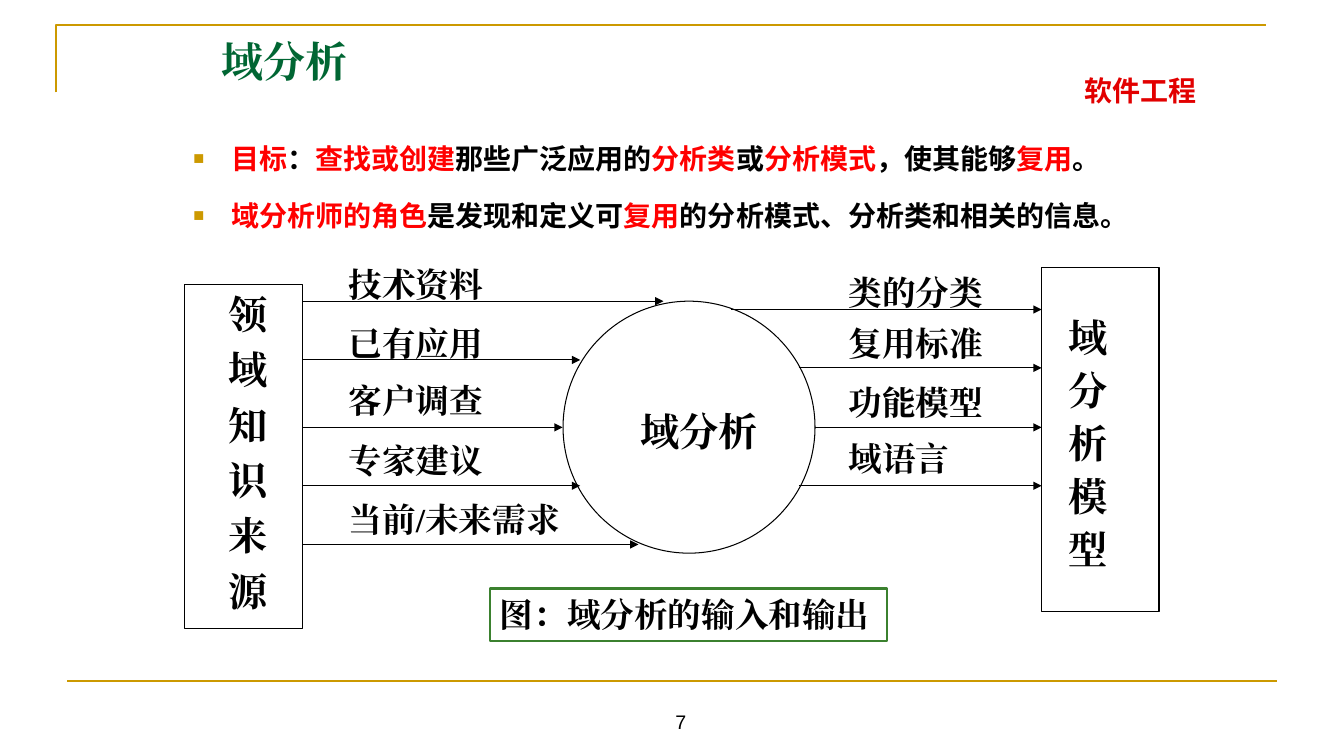
import pptx
import pptx.util
import pptx.dml.color
import pptx.enum.dml
import pptx.enum.shapes
import pptx.enum.text
import pptx.oxml.ns
import lxml.etree

Cm, Pt = pptx.util.Cm, pptx.util.Pt
RGBColor = pptx.dml.color.RGBColor
SHAPE = pptx.enum.shapes.MSO_SHAPE
ALIGN = pptx.enum.text.PP_ALIGN
ANCHOR = pptx.enum.text.MSO_ANCHOR
qn = pptx.oxml.ns.qn

BLACK = RGBColor(0x00, 0x00, 0x00)
RED = RGBColor(0xFF, 0x00, 0x00)
COURSE_RED = RGBColor(0xE2, 0x00, 0x00)
TITLE_GREEN = RGBColor(0x00, 0x66, 0x33)
CAPTION_GREEN = RGBColor(0x3B, 0x81, 0x2F)
GOLD = RGBColor(0xCC, 0x99, 0x00)

SERIF, SANS, CJK = "Times New Roman", "Arial", "Noto Sans CJK JP"

# Goals: runs of text, the red ones marked True
GOALS = [
    [("目标", True), ("：", False), ("查找或创建", True), ("那些广泛应用的", False),
     ("分析类", True), ("或", False), ("分析模式", True), ("，使其能够", False),
     ("复用", True), ("。", False)],
    [("域分析师的角色", True), ("是发现和定义可", False), ("复用", True),
     ("的分析模式、分析类和相关的信息。", False)],
]

# Flows: label, label top, arrow height, arrow start and end, within their region
INPUTS = [
    ("技术资料", 0, 1.06, 0, 9.09),
    ("已有应用", 1.47, 2.54, 0, 6.99),
    ("客户调查", 2.92, 4.24, 0, 6.55),
    ("专家建议", 4.44, 5.71, 0, 6.99),
    ("当前/未来需求", 5.92, 7.19, 0, 8.46),
]
OUTPUTS = [
    ("类的分类", 0, 1.07, 0, 7.82),
    ("复用标准", 1.27, 2.54, 1.7, 7.82),
    ("功能模型", 2.77, 4.04, 2.1, 7.82),
    ("域语言", 4.19, 5.51, 1.7, 7.82),
]


def add_run(paragraph, text, size, font=SERIF, color=BLACK, bold=True):
    run = paragraph.add_run()
    run.text = text
    run.font.size = Pt(size)
    run.font.bold = bold
    run.font.color.rgb = color
    run.font.name = font
    east_asian = lxml.etree.SubElement(run.font._element, qn("a:ea"))
    east_asian.set("typeface", font)


def place(placeholder, box):
    placeholder.left, placeholder.top, placeholder.width, placeholder.height = map(Cm, box)
    frame = placeholder.text_frame
    frame.word_wrap = True
    frame.auto_size = pptx.enum.text.MSO_AUTO_SIZE.NONE
    frame.vertical_anchor = ANCHOR.TOP
    return frame


def add_label(slide, box, lines, size, align=ALIGN.LEFT, spacing=None, anchor=ANCHOR.TOP, **look):
    frame = slide.shapes.add_textbox(*map(Cm, box)).text_frame
    frame.word_wrap = True
    frame.vertical_anchor = anchor
    for index, line in enumerate(lines):
        paragraph = frame.paragraphs[0] if index == 0 else frame.add_paragraph()
        paragraph.alignment = align
        if spacing:
            paragraph.line_spacing = spacing
            paragraph.space_before = Pt(11)
        add_run(paragraph, line, size, **look)


def add_outline(slide, kind, box, color=BLACK, weight=0.75):
    outline = slide.shapes.add_shape(kind, *map(Cm, box))
    outline.shadow.inherit = False
    outline.fill.background()
    outline.line.color.rgb = color
    outline.line.width = Pt(weight)
    return outline


def add_line(slide, start, end, color=BLACK, weight=0.75, arrow=False):
    line = slide.shapes.add_connector(
        pptx.enum.shapes.MSO_CONNECTOR.STRAIGHT, *map(Cm, start + end))
    line.line.color.rgb = color
    line.line.width = Pt(weight)
    if arrow:
        lxml.etree.SubElement(line.line._get_or_add_ln(), qn("a:tailEnd"), type="triangle")
    lxml.etree.SubElement(line._element.spPr, qn("a:effectLst"))


def add_page_frame(slide, box):
    left, top, width, height = box
    # Corner rule at the top, straight rule at the bottom
    builder = slide.shapes.build_freeform(Cm(left), Cm(top + 1.7))
    builder.add_line_segments(
        [(Cm(left), Cm(top)), (Cm(left + 30.48), Cm(top))], close=False)
    corner = builder.convert_to_shape()
    corner.shadow.inherit = False
    corner.fill.background()
    corner.line.color.rgb = GOLD
    corner.line.width = Pt(1.5)
    bottom = top + height
    add_line(slide, (left + width - 30.48, bottom), (left + width, bottom), GOLD, 1.5)
    # Course name and page number
    add_label(slide, (left + 21.92, top + 1.09, 10.8, 1.09), ["软件工程"], 20,
              ALIGN.CENTER, font=CJK, color=COURSE_RED)
    add_label(slide, (left + 11.79, bottom + 0.18, 7.9, 1.27), ["7"], 14,
              ALIGN.CENTER, anchor=ANCHOR.BOTTOM, font=SANS, bold=False)


def add_title(slide, box):
    title = place(slide.shapes.title, box).paragraphs[0]
    title.alignment = ALIGN.LEFT
    add_run(title, "域分析", 30, color=TITLE_GREEN)


def add_goals(slide, box):
    frame = place(slide.placeholders[1], box)
    for index, goal in enumerate(GOALS):
        paragraph = frame.paragraphs[0] if index == 0 else frame.add_paragraph()
        paragraph.line_spacing = 1.45
        paragraph.space_before = Pt(6)
        properties = paragraph._p.get_or_add_pPr()
        properties.set("marL", str(Cm(0.95)))
        properties.set("indent", str(-Cm(0.95)))
        bullet_color = lxml.etree.SubElement(properties, qn("a:buClr"))
        lxml.etree.SubElement(bullet_color, qn("a:srgbClr"), val=str(GOLD))
        lxml.etree.SubElement(properties, qn("a:buSzPct"), val="65000")
        lxml.etree.SubElement(properties, qn("a:buFont"), typeface=SANS)
        lxml.etree.SubElement(properties, qn("a:buChar"), char="■")
        for text, is_key in goal:
            add_run(paragraph, text, 20, SANS, RED if is_key else BLACK)


def add_flows(slide, box, flows, label_offset):
    left, top, width, _ = box
    for label, label_top, arrow_y, start, end in flows:
        add_line(slide, (left + start, top + arrow_y), (left + end, top + arrow_y), arrow=True)
        add_label(slide, (left + label_offset, top + label_top, width - label_offset, 1.27),
                  [label], 24)


def add_diagram(slide, box):
    left, top, width, height = box
    post_width, post_height = 2.97, 8.69
    # Knowledge sources on the left
    add_outline(slide, SHAPE.RECTANGLE, (left, top + 0.43, post_width, post_height))
    add_label(slide, (left + 0.23, top + 0.64, 2.74, 8.38), "领域知识来源", 28,
              ALIGN.CENTER, 0.85)
    # Domain model on the right
    model_left = left + width - post_width
    add_outline(slide, SHAPE.RECTANGLE, (model_left, top, post_width, post_height))
    add_label(slide, (model_left + 0.43, top + 1.27, 1.7, 6.73), "域分析模型", 28, spacing=0.8)
    # Analysis in the middle
    add_outline(slide, SHAPE.OVAL, (left + 9.53, top + 0.86, 6.35, 6.35))
    add_label(slide, (left + 11.23, top + 3.4, 4.01, 1.45), ["域分析"], 28)
    # Flows in and out
    add_flows(slide, (left + post_width, top - 0.2, 7.47, 7.19), INPUTS, 0.91)
    add_flows(slide, (left + 13.77, top, 7.15, 5.51), OUTPUTS, 2.71)
    # Caption
    caption = add_outline(slide, SHAPE.RECTANGLE, (left + 7.69, top + 8.1, 10.01, 1.32),
                          CAPTION_GREEN, 1.5).text_frame
    caption.word_wrap = True
    caption.vertical_anchor = ANCHOR.TOP
    caption.paragraphs[0].alignment = ALIGN.LEFT
    add_run(caption.paragraphs[0], "图：域分析的输入和输出", 24)


def main():
    deck = pptx.Presentation()
    deck.slide_width, deck.slide_height = Cm(33.87), Cm(19.05)
    slide = deck.slides.add_slide(deck.slide_layouts[1])
    add_page_frame(slide, (1.42, 0.63, 30.76, 16.52))
    add_title(slide, (5.33, 0.76, 21.59, 2.18))
    add_goals(slide, (4.62, 3.05, 24.71, 3.35))
    add_diagram(slide, (4.66, 6.73, 24.55, 9.42))
    deck.save("out.pptx")


if __name__ == "__main__":
    main()
